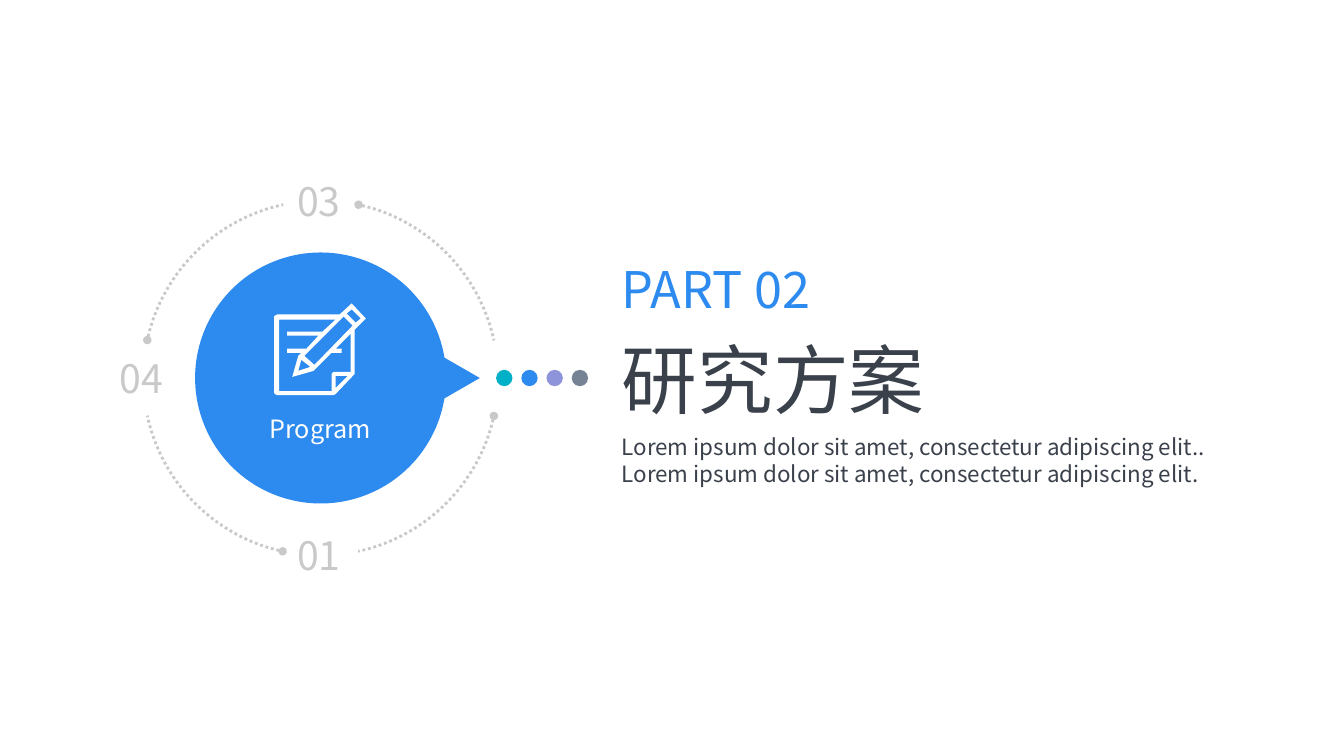
from lxml.etree import SubElement
from pptx import Presentation
from pptx.dml.color import RGBColor
from pptx.enum.dml import MSO_LINE
from pptx.enum.shapes import MSO_SHAPE as Preset
from pptx.enum.text import MSO_ANCHOR as Anchor, MSO_AUTO_SIZE as AutoSize, PP_ALIGN as Align
from pptx.oxml.ns import qn
from pptx.util import Pt

BLUE = RGBColor(0x2D, 0x8A, 0xEF)
TEAL = RGBColor(0x00, 0xB0, 0xC7)
VIOLET = RGBColor(0x8E, 0x94, 0xDA)
SLATE = RGBColor(0x76, 0x83, 0x95)
GREY = RGBColor(0xC9, 0xC9, 0xC9)
INK = RGBColor(0x3A, 0x41, 0x4B)
WHITE = RGBColor(0xFF, 0xFF, 0xFF)

FONT = "Noto Sans CJK SC"
CENTER_X, CENTER_Y = 229, 270
RING_RADIUS = 126.7
TEXT_LEFT = 437

ICON_CONTOURS = [
    [(91, 15), (77, 0), (65, 11), (3, 11), (1, 12), (0, 13), (0, 89), (1, 90), (3, 91),
     (59, 91), (61, 90), (79, 71), (80, 70), (80, 26)],
    [(40, 61), (30, 52), (69, 13), (78, 22)],
    [(27, 56), (36, 63), (24, 67)],
    [(86, 15), (81, 19), (72, 10), (77, 6)],
    [(61, 84), (61, 72), (73, 72)],
    [(76, 68), (59, 68), (58, 69), (57, 70), (57, 87), (5, 87), (5, 16), (61, 16),
     (48, 28), (13, 28), (13, 32), (44, 32), (32, 45), (13, 45), (13, 49), (27, 49),
     (24, 52), (18, 73), (39, 67), (57, 49), (67, 49), (67, 45), (61, 45), (76, 30)],
]


def set_attributes(target, values):
    for name, value in values.items():
        setattr(target, name, value)


def fill_shape(shape, color):
    shape.shadow.inherit = False
    shape.fill.solid()
    shape.fill.fore_color.rgb = color
    shape.line.fill.background()


def add_centered(slide, preset, center_x, center_y, width, height):
    return slide.shapes.add_shape(
        preset, Pt(center_x - width / 2), Pt(center_y - height / 2), Pt(width), Pt(height))


def add_disc(slide, center_x, diameter, color):
    fill_shape(add_centered(slide, Preset.OVAL, center_x, CENTER_Y, diameter, diameter), color)


def add_pointer(slide):
    shape = add_centered(slide, Preset.ISOSCELES_TRIANGLE, 314.3, CENTER_Y, 65.5, 56.9)
    shape.rotation = 90
    fill_shape(shape, BLUE)


def add_ring_arc(slide, rotation):
    diameter = 2 * RING_RADIUS
    shape = add_centered(slide, Preset.ARC, CENTER_X, CENTER_Y, diameter, diameter)
    shape.adjustments[0] = 169.42
    shape.adjustments[1] = 208.68
    shape.rotation = rotation
    shape.shadow.inherit = False
    shape.fill.background()
    shape.line.color.rgb = GREY
    set_attributes(shape.line, {"width": Pt(2), "dash_style": MSO_LINE.ROUND_DOT})
    SubElement(shape.line._get_or_add_ln(), qn("a:headEnd"), type="oval")


def add_note_icon(slide, left, top):
    first, *inner = ICON_CONTOURS
    builder = slide.shapes.build_freeform(*first[0], scale=Pt(0.72))
    builder.add_line_segments(first[1:])
    for contour in inner:
        builder.move_to(*contour[0])
        builder.add_line_segments(contour[1:])
    fill_shape(builder.convert_to_shape(Pt(left), Pt(top)), WHITE)


def write_text(shape, box, text, size, color, alignment=Align.LEFT, wrap=True):
    left, top, width, height = box
    set_attributes(shape, {"left": Pt(left), "top": Pt(top), "width": Pt(width), "height": Pt(height)})
    set_attributes(shape.text_frame, {
        "word_wrap": wrap, "auto_size": AutoSize.NONE, "vertical_anchor": Anchor.TOP})
    paragraph = shape.text_frame.paragraphs[0]
    set_attributes(paragraph, {"alignment": alignment, "space_before": Pt(0)})
    run = paragraph.add_run()
    run.text = text
    set_attributes(run.font, {"name": FONT, "size": Pt(size)})
    run.font.color.rgb = color
    SubElement(run._r.get_or_add_rPr(), qn("a:ea"), typeface=FONT)


def add_label(slide, box, *text_format, **options):
    shape = slide.shapes.add_textbox(0, 0, 0, 0)
    write_text(shape, box, *text_format, **options)


def add_ring_number(slide, text, offset_x, offset_y):
    width, height = 47.5, 41
    box = (CENTER_X + offset_x - width / 2, CENTER_Y + offset_y - height / 2, width, height)
    add_label(slide, box, text, 28, GREY, wrap=False)


def main():
    presentation = Presentation()
    set_attributes(presentation, {"slide_width": Pt(960), "slide_height": Pt(540)})
    slide = presentation.slides.add_slide(presentation.slide_layouts[0])

    add_disc(slide, CENTER_X, 179.3, BLUE)
    for rotation in range(0, 360, 90):
        add_ring_arc(slide, rotation)
    add_ring_number(slide, "03", 0, -RING_RADIUS)
    add_ring_number(slide, "04", -RING_RADIUS, 0)
    add_ring_number(slide, "01", 0, RING_RADIUS)
    add_note_icon(slide, 195.8, 216.7)
    add_label(slide, (167.8, 291.6, 121.7, 28.8), "Program", 18, WHITE, alignment=Align.CENTER)

    add_pointer(slide)
    for index, color in enumerate([TEAL, BLUE, VIOLET, SLATE]):
        add_disc(slide, 360.2 + 18 * index, 11.7, color)

    add_label(slide, (TEXT_LEFT, 180.7, 157.7, 51.1), "PART 02", 36, BLUE, wrap=False)
    write_text(slide.shapes.title, (TEXT_LEFT, 234, 283.7, 72.7), "研究方案", 54, INK)
    write_text(slide.placeholders[1], (TEXT_LEFT, 306, 453.6, 46.1),
               "Lorem ipsum dolor sit amet, consectetur adipiscing elit.. "
               "Lorem ipsum dolor sit amet, consectetur adipiscing elit.", 16, INK)

    presentation.save("out.pptx")


if __name__ == "__main__":
    main()
